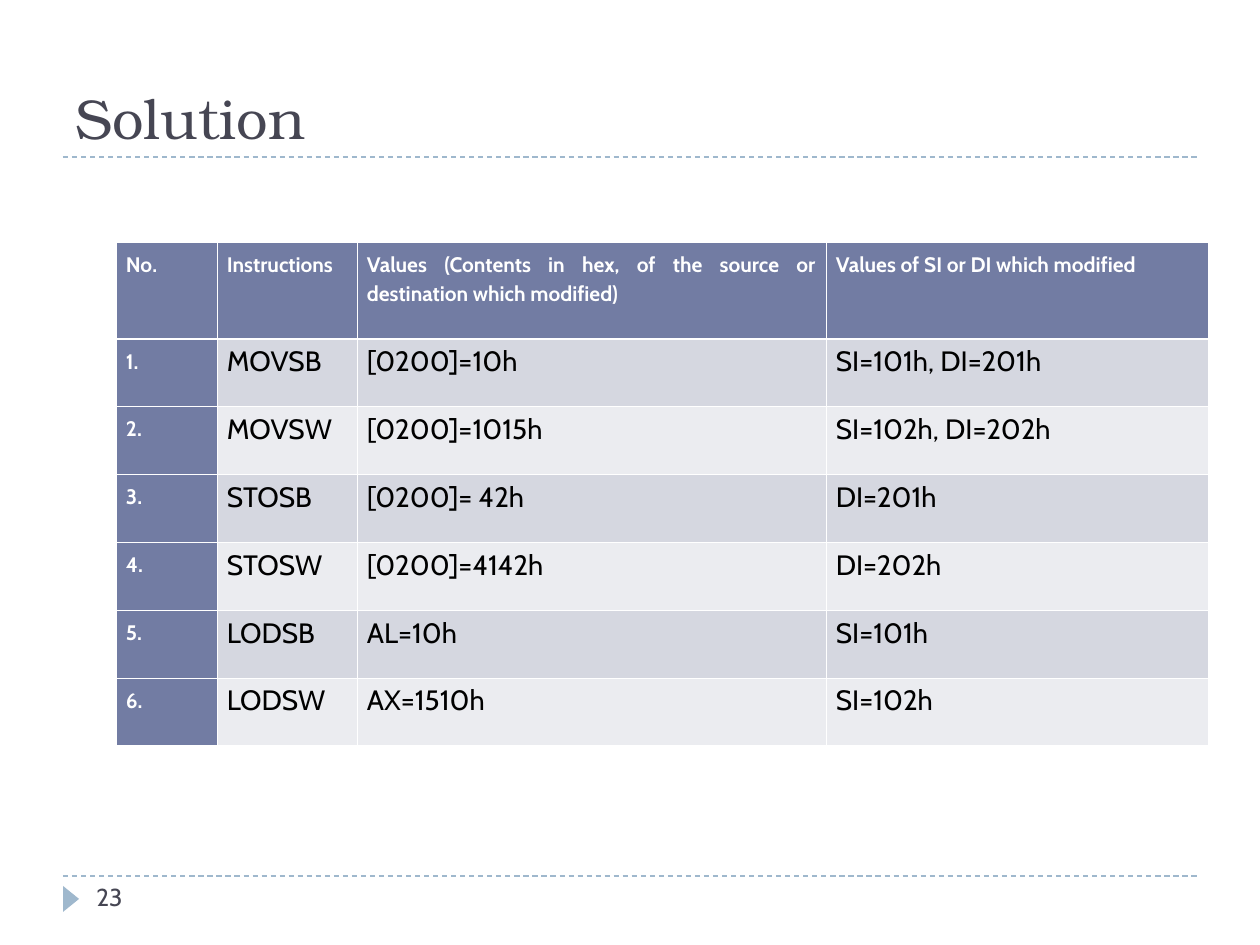
from dataclasses import dataclass

from lxml import etree
from pptx import Presentation
from pptx.dml.color import RGBColor
from pptx.enum.dml import MSO_LINE
from pptx.enum.shapes import MSO_CONNECTOR, MSO_SHAPE
from pptx.enum.text import MSO_ANCHOR, PP_ALIGN
from pptx.oxml.ns import qn
from pptx.util import Pt

DASH = MSO_LINE.DASH
STRAIGHT = MSO_CONNECTOR.STRAIGHT
TRIANGLE = MSO_SHAPE.ISOSCELES_TRIANGLE
TOP, BOTTOM = MSO_ANCHOR.TOP, MSO_ANCHOR.BOTTOM
LEFT, JUSTIFY = PP_ALIGN.LEFT, PP_ALIGN.JUSTIFY

EMU_PER_PX = 914400 // 126


@dataclass(frozen=True)
class Theme:
    title_font: str = "TeX Gyre Bonum"
    body_font: str = "Cabin"
    ink: str = "464653"
    accent: str = "9FB8CD"
    header: str = "727CA3"
    bands: tuple = ("D5D7E0", "EBECF0")
    white: str = "FFFFFF"
    black: str = "000000"
    title_size: int = 32
    page_size: int = 14
    header_size: int = 12
    cell_size: int = 16
    thin: float = 0.45
    thick: float = 1.47


THEME = Theme()

HEADINGS = (
    "No.",
    "Instructions",
    "Values (Contents in hex, of the source or destination which modified)",
    "Values of SI or DI which modified",
)
SOLUTIONS = (
    ("MOVSB", "[0200]=10h", "SI=101h, DI=201h"),
    ("MOVSW", "[0200]=1015h", "SI=102h, DI=202h"),
    ("STOSB", "[0200]= 42h", "DI=201h"),
    ("STOSW", "[0200]=4142h", "DI=202h"),
    ("LODSB", "AL=10h", "SI=101h"),
    ("LODSW", "AX=1510h", "SI=102h"),
)
COLUMN_WIDTHS = (101, 140, 469, 382)
HEADER_HEIGHT, BODY_HEIGHT = 97, 407


def px(length):
    return length * EMU_PER_PX


def color(value):
    return RGBColor.from_string(value)


def style(paragraph, font, size, ink, bold=False):
    paragraph.font.name = font
    paragraph.font.size = Pt(size)
    paragraph.font.color.rgb = color(ink)
    paragraph.font.bold = bold


def add_label(slide, text, box, font, size, anchor):
    frame = slide.shapes.add_textbox(*map(px, box)).text_frame
    frame.word_wrap = True
    frame.vertical_anchor = anchor
    frame.text = text
    style(frame.paragraphs[0], font, size, THEME.ink)


def add_rule(slide, y):
    rule = slide.shapes.add_connector(STRAIGHT, px(63), px(y), px(1197), px(y))
    rule.line.color.rgb = color(THEME.accent)
    rule.line.width = Pt(0.75)
    rule.line.dash_style = DASH
    etree.SubElement(rule._element.spPr, qn("a:effectLst"))


def add_page_marker(slide):
    marker = slide.shapes.add_shape(TRIANGLE, px(58), px(891), px(26), px(16))
    marker.rotation = 90
    marker.shadow.inherit = False
    marker.fill.solid()
    marker.fill.fore_color.rgb = color(THEME.accent)
    marker.line.fill.background()


def set_borders(cell, top, bottom):
    sides = {"L": THEME.thin, "R": THEME.thin, "T": top, "B": bottom}
    properties = cell._tc.get_or_add_tcPr()
    for side, width in sides.items():
        border = etree.SubElement(properties, qn(f"a:ln{side}"), w=str(Pt(width)))
        fill = etree.SubElement(border, qn("a:solidFill"))
        etree.SubElement(fill, qn("a:srgbClr"), val=THEME.white)


def fill_cell(cell, text, row, column):
    is_heading = row == 0 or column == 0
    set_borders(
        cell,
        top=THEME.thick if row == 1 else THEME.thin,
        bottom=THEME.thick if row == 0 else THEME.thin,
    )
    cell.fill.solid()
    band = THEME.bands[(row - 1) % 2]
    cell.fill.fore_color.rgb = color(THEME.header if is_heading else band)
    cell.margin_left = cell.margin_right = px(10)
    cell.margin_top = cell.margin_bottom = px(6)
    cell.vertical_anchor = TOP
    cell.text = text
    paragraph = cell.text_frame.paragraphs[0]
    paragraph.alignment = JUSTIFY if column > 1 or (row and column) else LEFT
    if is_heading:
        style(paragraph, THEME.body_font, THEME.header_size, THEME.white, bold=True)
        paragraph.line_spacing = 1.15
        if row > 1:
            paragraph.space_before = Pt(2)
    else:
        style(paragraph, THEME.body_font, THEME.cell_size, THEME.black)


def add_solution_table(slide):
    numbered = [(f"{n}.", *entry) for n, entry in enumerate(SOLUTIONS, 1)]
    rows = [HEADINGS, *numbered]
    table = slide.shapes.add_table(
        len(rows), len(HEADINGS), px(116), px(242),
        px(sum(COLUMN_WIDTHS)), px(HEADER_HEIGHT + BODY_HEIGHT),
    ).table
    for column, width in zip(table.columns, COLUMN_WIDTHS):
        column.width = px(width)
    for row in table.rows:
        row.height = px(BODY_HEIGHT) // len(SOLUTIONS)
    table.rows[0].height = px(HEADER_HEIGHT)
    for r, texts in enumerate(rows):
        for c, text in enumerate(texts):
            fill_cell(table.cell(r, c), text, r, c)


def main():
    deck = Presentation()
    deck.slide_width, deck.slide_height = px(1260), px(945)
    slide = deck.slides.add_slide(deck.slide_layouts[6])

    # Frame of the slide
    add_rule(slide, 876)
    add_rule(slide, 157)
    add_page_marker(slide)

    # Title, table and page number
    add_label(slide, "Solution", (63, 21, 1134, 136),
              THEME.title_font, THEME.title_size, BOTTOM)
    add_solution_table(slide)
    add_label(slide, "23", (84, 876, 273, 50),
              THEME.body_font, THEME.page_size, TOP)

    deck.save("out.pptx")


if __name__ == "__main__":
    main()
